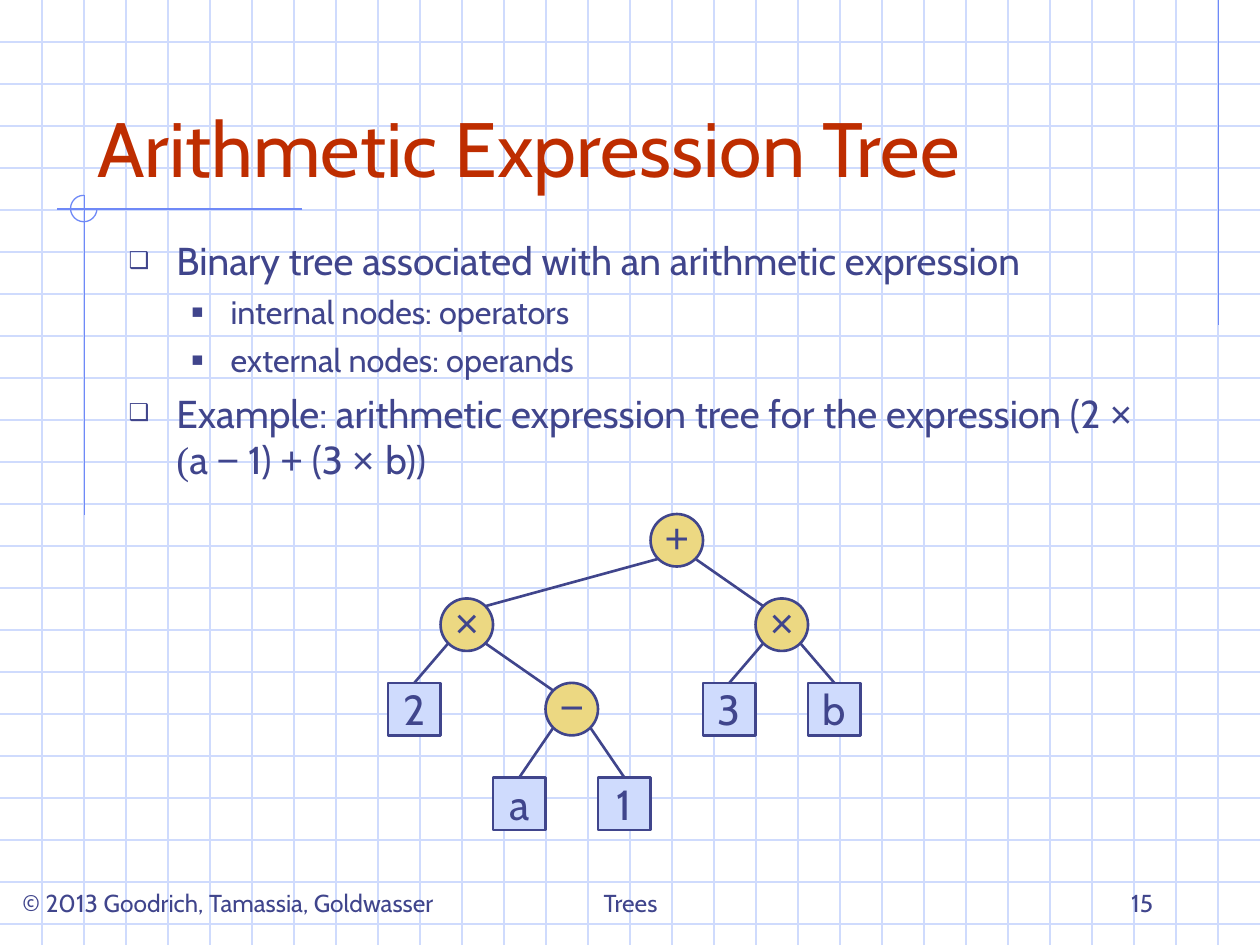
from math import sqrt

from lxml import etree
from pptx import Presentation
from pptx.dml.color import RGBColor
from pptx.enum.shapes import MSO_CONNECTOR as Connector, MSO_SHAPE as Shape
from pptx.enum.text import MSO_ANCHOR as Anchor, MSO_AUTO_SIZE as AutoSize, PP_ALIGN as Align
from pptx.oxml.ns import qn
from pptx.util import Inches, Pt

INK, RED, ACCENT = "40458C", "BE2D00", "6F89F7"
PALE, GOLD = "CFDBFD", "ECD882"
TEXT_FONT, SYMBOL_FONT = "Cabin", "Arial"

# Tree: (operator, left, right) or an operand
EXPRESSION = ("+", ("×", "2", ("−", "a", "1")), ("×", "3", "b"))
NODE = 5 / 12  # node size and column step
TREE_LEFT = 3.08
ROW_TOPS = [4.08, 4.75, 5.42, 6.17]

# Outline: level, runs as (text, font)
OUTLINE = [
    (0, [("Binary tree associated with an arithmetic expression", TEXT_FONT)]),
    (1, [("internal nodes: operators", TEXT_FONT)]),
    (1, [("external nodes: operands", TEXT_FONT)]),
    (0, [("Example: arithmetic expression tree for the expression (2 ", TEXT_FONT),
         ("× ", SYMBOL_FONT), ("(", "Times New Roman"), ("a ", TEXT_FONT),
         ("−", SYMBOL_FONT), (" 1) ", TEXT_FONT), ("+", SYMBOL_FONT),
         (" (3 ", TEXT_FONT), ("× ", SYMBOL_FONT), ("b))", TEXT_FONT)]),
]
# Per level: bullet, size, left margin, hanging indent, space before
LEVELS = [("❑", 22.2, 0.38, 0.38, 6), ("■", 18.5, 0.81, 0.31, 5)]


def rgb(value):
    return RGBColor.from_string(value)


def add_run(paragraph, text, size, color=INK, font=TEXT_FONT):
    run = paragraph.add_run()
    run.text = text
    run.font.size = Pt(size)
    run.font.name = font
    run.font.color.rgb = rgb(color)


def add_line(slide, x1, y1, x2, y2, color, width=0.75):
    line = slide.shapes.add_connector(
        Connector.STRAIGHT, Inches(x1), Inches(y1), Inches(x2), Inches(y2))
    line.line.color.rgb = rgb(color)
    line.line.width = Pt(width)
    etree.SubElement(line._element.spPr, qn("a:effectLst"))
    return line


def place(shape, left, top, width, height):
    shape.left, shape.top = Inches(left), Inches(top)
    shape.width, shape.height = Inches(width), Inches(height)


def add_background(slide):
    # Graph paper
    for row in range(1, 23):
        add_line(slide, 0, row / 3, 10, row / 3, PALE)
    for column in range(1, 30):
        add_line(slide, column / 3, 0, column / 3, 7.5, PALE)
    # Accent lines and the three-quarter circle at their crossing
    add_line(slide, 9.67, 0, 9.67, 2.58, ACCENT)
    add_line(slide, 2.4, 1.66, 0.45, 1.66, ACCENT)
    add_line(slide, 0.67, 1.55, 0.67, 4.09, ACCENT)
    arc = slide.shapes.add_shape(
        Shape.ARC, Inches(0.56), Inches(1.55), Inches(0.21), Inches(0.21))
    arc.adjustments[0], arc.adjustments[1] = 0, 162
    arc.shadow.inherit = False
    arc.fill.background()
    arc.line.color.rgb = rgb(ACCENT)
    arc.line.width = Pt(0.75)


def fill_title(slide, text):
    title = slide.shapes.title
    slide.shapes._spTree.append(title._element)  # in front of the grid
    place(title, 0.67, 0.33, 8.5, 1.25)
    frame = title.text_frame
    frame.auto_size = AutoSize.NONE
    frame.vertical_anchor = Anchor.BOTTOM
    paragraph = frame.paragraphs[0]
    paragraph.alignment = Align.LEFT
    add_run(paragraph, text, 44, RED)


def add_bullet(paragraph, character):
    properties = paragraph._p.get_or_add_pPr()
    color = etree.SubElement(properties, qn("a:buClr"))
    etree.SubElement(color, qn("a:srgbClr"), val=INK)
    etree.SubElement(properties, qn("a:buSzPct"), val="60000")
    etree.SubElement(properties, qn("a:buFont"), typeface=SYMBOL_FONT)
    etree.SubElement(properties, qn("a:buChar"), char=character)


def fill_outline(slide):
    body = slide.placeholders[1]
    slide.shapes._spTree.append(body._element)
    place(body, 0.92, 1.83, 8.5, 2.17)
    frame = body.text_frame
    frame.auto_size = AutoSize.NONE
    for index, (level, runs) in enumerate(OUTLINE):
        bullet, size, margin, hanging, space = LEVELS[level]
        paragraph = frame.add_paragraph() if index else frame.paragraphs[0]
        paragraph.level = level
        add_bullet(paragraph, bullet)
        properties = paragraph._p.get_or_add_pPr()
        properties.set("marL", str(Inches(margin)))
        properties.set("indent", str(-Inches(hanging)))
        paragraph.space_before = Pt(space if index else 0)
        for text, font in runs:
            add_run(paragraph, text, size, font=font)


def add_node(slide, label, column, depth, is_operator):
    node = slide.shapes.add_shape(
        Shape.OVAL if is_operator else Shape.RECTANGLE,
        Inches(TREE_LEFT + column * NODE), Inches(ROW_TOPS[depth]),
        Inches(NODE), Inches(NODE))
    node.shadow.inherit = False
    node.fill.solid()
    node.fill.fore_color.rgb = rgb(GOLD if is_operator else PALE)
    node.line.color.rgb = rgb(INK)
    node.line.width = Pt(1.5)
    frame = node.text_frame
    frame.word_wrap = False
    frame.vertical_anchor = Anchor.MIDDLE
    frame.margin_left = frame.margin_right = Inches(0 if is_operator else 0.1)
    frame.margin_top = Inches(0 if is_operator else 0.05)
    frame.margin_bottom = Inches(0.05)
    paragraph = frame.paragraphs[0]
    paragraph.alignment = Align.CENTER
    add_run(paragraph, label, 24, font=SYMBOL_FONT if is_operator else TEXT_FONT)
    return node


def add_edge(slide, parent, parent_place, child, child_place, child_is_operator):
    (column, depth), (child_column, child_depth) = parent_place, child_place
    side = 1 if child_column > column else -1
    diagonal = NODE / 2 / sqrt(2)  # centre to the diagonal point of a circle

    def circle_point(column, depth, across, down):
        return (TREE_LEFT + (column + 0.5) * NODE + across * diagonal,
                ROW_TOPS[depth] + NODE / 2 + down * diagonal)

    start = circle_point(column, depth, side, 1)
    end = circle_point(child_column, child_depth, -side, -1)
    edge = add_line(slide, *start, *end, INK, 1.5)
    if not child_is_operator:
        edge.end_connect(child, 0)


def add_tree(slide, tree, column=0, depth=0):
    """Place nodes in in-order columns; return node, its place, next column."""
    if isinstance(tree, str):
        return add_node(slide, tree, column, depth, False), (column, depth), column + 1
    label, left, right = tree
    left_node, left_place, column = add_tree(slide, left, column, depth + 1)
    here = (column, depth)
    node = add_node(slide, label, column, depth, True)
    right_node, right_place, column = add_tree(slide, right, column + 1, depth + 1)
    add_edge(slide, node, here, left_node, left_place, isinstance(left, tuple))
    add_edge(slide, node, here, right_node, right_place, isinstance(right, tuple))
    return node, here, column


def add_footer(slide, text, left, width, alignment):
    box = slide.shapes.add_textbox(Inches(left), Inches(6.83), Inches(width), Inches(0.5))
    frame = box.text_frame
    frame.word_wrap = True
    frame.vertical_anchor = Anchor.BOTTOM
    frame.paragraphs[0].alignment = alignment
    add_run(frame.paragraphs[0], text, 14)


def main():
    presentation = Presentation()
    presentation.slide_width, presentation.slide_height = Inches(10), Inches(7.5)
    slide = presentation.slides.add_slide(presentation.slide_layouts[1])
    add_background(slide)
    fill_title(slide, "Arithmetic Expression Tree")
    fill_outline(slide)
    add_tree(slide, EXPRESSION)
    # Footer
    add_footer(slide, "© 2013 Goodrich, Tamassia, Goldwasser", 0.08, 3.92, Align.LEFT)
    add_footer(slide, "Trees", 3.42, 3.17, Align.CENTER)
    add_footer(slide, "15", 7.17, 2.08, Align.RIGHT)
    presentation.save("out.pptx")


if __name__ == "__main__":
    main()
